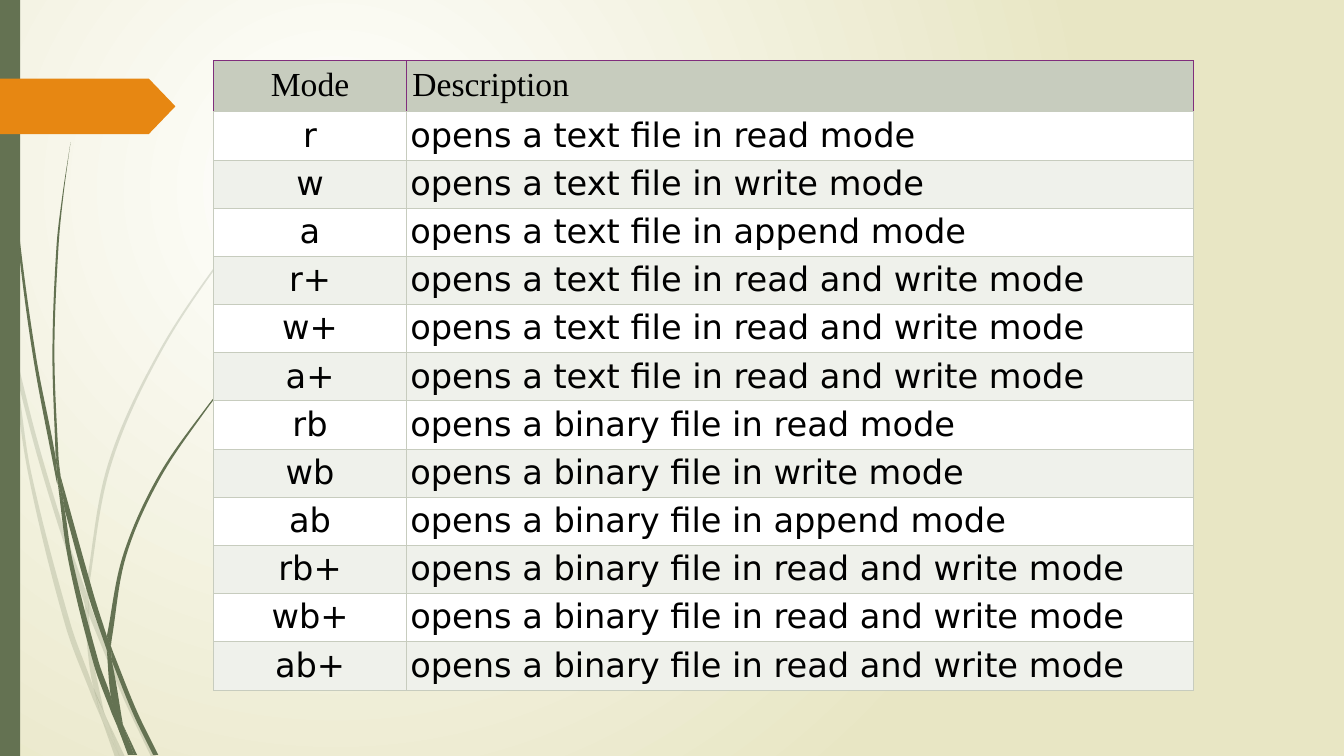
from dataclasses import dataclass
from math import dist

from pptx import Presentation
from pptx.dml.color import RGBColor
from pptx.enum.shapes import MSO_SHAPE
from pptx.enum.text import PP_ALIGN
from pptx.oxml import parse_xml
from pptx.oxml.ns import nsdecls, qn
from pptx.util import Inches, Pt

RECT, ARROW = MSO_SHAPE.RECTANGLE, MSO_SHAPE.PENTAGON
LEFT, MID = PP_ALIGN.LEFT, PP_ALIGN.CENTER


@dataclass(frozen=True)
class Theme:
    moss: str = "647252"
    amber: str = "E78712"
    white: str = "FFFFFF"
    sand: str = "E8E6C4"
    sage: str = "C7CCBE"
    mist: str = "EFF1EB"
    plum: str = "802D7C"
    black: str = "000000"
    serif: str = "Times New Roman"
    sans: str = "DejaVu Sans"
    size: float = 24
    edge: float = 0.75


ROWS = [
    ("Mode", "Description"),
    ("r", "opens a text file in read mode"),
    ("w", "opens a text file in write mode"),
    ("a", "opens a text file in append mode"),
    ("r+", "opens a text file in read and write mode"),
    ("w+", "opens a text file in read and write mode"),
    ("a+", "opens a text file in read and write mode"),
    ("rb", "opens a binary file in read mode"),
    ("wb", "opens a binary file in write mode"),
    ("ab", "opens a binary file in append mode"),
    ("rb+", "opens a binary file in read and write mode"),
    ("wb+", "opens a binary file in read and write mode"),
    ("ab+", "opens a binary file in read and write mode"),
]

FAINT = [
    ([(0, 2.82), (0.09, 3.22), (0.11, 3.5)], [(0.1, 3.44), (0, 2.99)]),
    ([(0.14, 3.45), (0.36, 4.33), (0.62, 5.2), (0.85, 5.86)],
     [(0.84, 5.99), (0.58, 5.22), (0.36, 4.49), (0.17, 3.76)]),
    ([(0.88, 5.96), (0.92, 6.07), (1.27, 6.92), (1.55, 7.51)],
     [(1.5, 7.51), (1.23, 6.94), (0.88, 6.1)]),
    ([(1.05, 7.11), (1.24, 7.51)], [(1.19, 7.51), (1.05, 7.11)]),
    ([(0.11, 3.5), (0.17, 3.76), (0.31, 4.69), (0.7, 6.19), (0.93, 6.83), (1.01, 7.14)],
     [(0.92, 6.93), (0.65, 6.21), (0.28, 4.7), (0.11, 3.5)]),
    ([(0.84, 5.99), (0.87, 6.46), (0.93, 6.83), (1.05, 7.11)],
     [(1.03, 7.06), (0.91, 6.46), (0.88, 6.1), (0.84, 5.99)]),
    ([(3.12, 1.53), (2.68, 1.97), (2.28, 2.44), (1.58, 3.48), (1.07, 4.61), (0.85, 5.84)],
     [(0.88, 5.96), (0.88, 5.84), (1.1, 4.62), (1.6, 3.49), (2.29, 2.45), (2.68, 1.98), (3.12, 1.54)]),
    ([(1.01, 7.14), (1.19, 7.51)], [(1.14, 7.51), (1.01, 7.14)]),
    ([(0.85, 5.86), (0.88, 5.96), (0.88, 6.1)], [(0.84, 5.99), (0.85, 5.86)]),
    ([(0.93, 6.83), (1.05, 7.11), (1.19, 7.51)], [(1.01, 7.14), (0.93, 6.83)]),
]

SOLID = [
    ([(0.04, 0), (0.08, 1.09), (0.19, 2.32), (0.36, 3.55), (0.55, 4.53), (0.57, 4.81)],
     [(0.56, 4.77), (0.33, 3.55), (0.17, 2.33), (0.07, 1.1), (0.03, 0)]),
    ([(0.6, 4.72), (0.93, 5.9), (1.06, 6.31)], [(1.06, 6.45), (0.88, 5.92), (0.64, 5.05)]),
    ([(1.1, 6.41), (1.13, 6.49), (1.36, 7.06), (1.57, 7.49)],
     [(1.52, 7.49), (1.32, 7.08), (1.11, 6.56)]),
    ([(0.57, 4.77), (0.64, 5.05), (0.72, 5.56), (0.98, 6.57), (1.1, 6.91), (1.17, 7.22)],
     [(1.11, 7.08), (0.93, 6.59), (0.68, 5.57), (0.57, 4.77)]),
    ([(0.7, 1.41), (0.63, 1.93), (0.58, 2.45), (0.54, 3.49), (0.58, 4.53), (0.6, 4.72)],
     [(0.55, 4.49), (0.52, 3.49), (0.56, 2.45), (0.62, 1.93), (0.7, 1.41)]),
    ([(1.22, 7.19), (1.36, 7.49)], [(1.33, 7.49), (1.22, 7.19)]),
    ([(0.55, 4.49), (0.6, 4.72), (0.64, 5.05)], [(0.57, 4.77), (0.55, 4.49)]),
    ([(2.6, 3.44), (2.31, 3.73), (2.04, 4.05), (1.56, 4.74), (1.22, 5.51), (1.06, 6.31)],
     [(1.1, 6.41), (1.11, 6.33), (1.25, 5.52), (1.58, 4.76), (2.05, 4.06), (2.31, 3.74), (2.61, 3.44)]),
    ([(1.17, 7.22), (1.31, 7.49)], [(1.27, 7.49), (1.17, 7.22)]),
    ([(1.06, 6.45), (1.11, 6.56), (1.22, 7.19)], [(1.16, 7.06), (1.1, 6.91), (1.06, 6.45)]),
    ([(1.06, 6.31), (1.1, 6.41), (1.11, 6.56)], [(1.06, 6.45), (1.06, 6.31)]),
    ([(1.1, 6.91), (1.22, 7.19), (1.33, 7.49)], [(1.3, 7.49), (1.17, 7.22), (1.1, 6.91)]),
]


def put(item, form):
    for name, value in form.items():
        setattr(item, name, value)


def pull(base, back, front, reach):
    scale = reach / 3 / max(dist(back, front), 1)
    return tuple(round(b + (f - k) * scale) for b, k, f in zip(base, back, front))


def bend(shape, count):
    lines = list(shape.element.iter(qn("a:lnTo")))
    start = next(shape.element.iter(qn("a:moveTo")))
    dots = [(int(n[0].get("x")), int(n[0].get("y"))) for n in [start, *lines]]
    for low, high in ((0, count), (count, len(dots))):
        side = [dots[low], *dots[low:high], dots[high - 1]]
        for i, (a, b, c, d) in enumerate(zip(side, side[1:], side[2:], side[3:])):
            reach = dist(b, c)
            knots = (pull(b, a, c, reach), pull(c, d, b, reach), c)
            marks = "".join(f'<a:pt x="{x}" y="{y}"/>' for x, y in knots)
            line = lines[low + i]
            line.getparent().replace(line, parse_xml(
                f'<a:cubicBezTo {nsdecls("a")}>{marks}</a:cubicBezTo>'))


class Deck:
    def __init__(self, theme):
        self.theme = theme
        self.prs = Presentation()
        put(self.prs, {"slide_width": Inches(13.33), "slide_height": Inches(7.5)})
        self.slide = self.prs.slides.add_slide(self.prs.slide_layouts[6])
        self.shapes = self.slide.shapes

    def paint(self, item, color):
        item.fill.solid()
        item.fill.fore_color.rgb = RGBColor.from_string(color)

    def finish(self, shape, color, alpha=None):
        self.paint(shape, color)
        if alpha:
            tint = shape.element.spPr.find(".//" + qn("a:srgbClr"))
            tint.append(parse_xml(f'<a:alpha {nsdecls("a")} val="{alpha * 1000}"/>'))
        shape.line.fill.background()
        shape.shadow.inherit = False

    def backdrop(self, inner, outer):
        fill = self.slide.background.fill
        fill.gradient()
        for stop, color, place in zip(fill.gradient_stops, (inner, outer), (0, 1)):
            stop.position = place
            stop.color.rgb = RGBColor.from_string(color)
        grad = self.slide.element.find(".//" + qn("a:gradFill"))
        glow = parse_xml(
            f'<a:path {nsdecls("a")} path="circle">'
            '<a:fillToRect l="50000" t="50000" r="100000" b="100000"/></a:path>')
        grad.replace(grad.find(qn("a:lin")), glow)

    def block(self, kind, box, color):
        shape = self.shapes.add_shape(kind, *map(Inches, box))
        self.finish(shape, color)
        return shape

    def blade(self, near, far, color, alpha):
        dots = [(Inches(x), Inches(y)) for x, y in near + far]
        pen = self.shapes.build_freeform(*dots[0])
        pen.add_line_segments(dots[1:], close=True)
        shape = pen.convert_to_shape()
        bend(shape, len(near))
        self.finish(shape, color, alpha)

    def border(self, cell, colors):
        props = cell._tc.get_or_add_tcPr()
        for side, color in zip("LRTB", colors):
            props.append(parse_xml(
                f'<a:ln{side} {nsdecls("a")} w="{Pt(self.theme.edge)}"><a:solidFill>'
                f'<a:srgbClr val="{color}"/></a:solidFill></a:ln{side}>'))

    def cell(self, cell, text, font, fill, edges, pad, align):
        theme = self.theme
        pads = ("margin_left", "margin_right", "margin_top", "margin_bottom")
        put(cell, dict.fromkeys(pads, Inches(pad)))
        self.border(cell, edges)
        self.paint(cell, fill)
        para = cell.text_frame.paragraphs[0]
        put(para, {"text": text, "alignment": align})
        run = para.runs[0].font
        put(run, {"name": font, "size": Pt(theme.size)})
        run.color.rgb = RGBColor.from_string(theme.black)

    def table(self, rows, box, cols, head):
        theme = self.theme
        grid = self.shapes.add_table(len(rows), len(cols), *map(Inches, box)).table
        for col, width in zip(grid.columns, cols):
            col.width = Inches(width)
        rest = (box[3] - head) / (len(rows) - 1)
        for i, row in enumerate(rows):
            grid.rows[i].height = Inches(rest if i else head)
            fill = theme.white if i % 2 else theme.mist
            look = (theme.sans, fill, [theme.sage] * 4, 0.04)
            if i == 0:
                look = (theme.serif, theme.sage, [theme.plum] * 3 + [theme.sage], 0.06)
            for j, (text, align) in enumerate(zip(row, (MID, LEFT))):
                self.cell(grid.cell(i, j), text, *look, align)


def main():
    theme = Theme()
    deck = Deck(theme)
    deck.backdrop(theme.white, theme.sand)
    for blades, alpha in ((FAINT, 20), (SOLID, None)):
        for near, far in blades:
            deck.blade(near, far, theme.moss, alpha)
    deck.block(RECT, (0, 0, 0.2, 7.5), theme.moss)
    arrow = deck.block(ARROW, (0, 0.78, 1.74, 0.55), theme.amber)
    arrow.adjustments[0] = 0.48
    deck.table(ROWS, (2.12, 0.6, 9.72, 6.25), (1.91, 7.81), 0.51)
    deck.prs.save("out.pptx")


if __name__ == "__main__":
    main()
